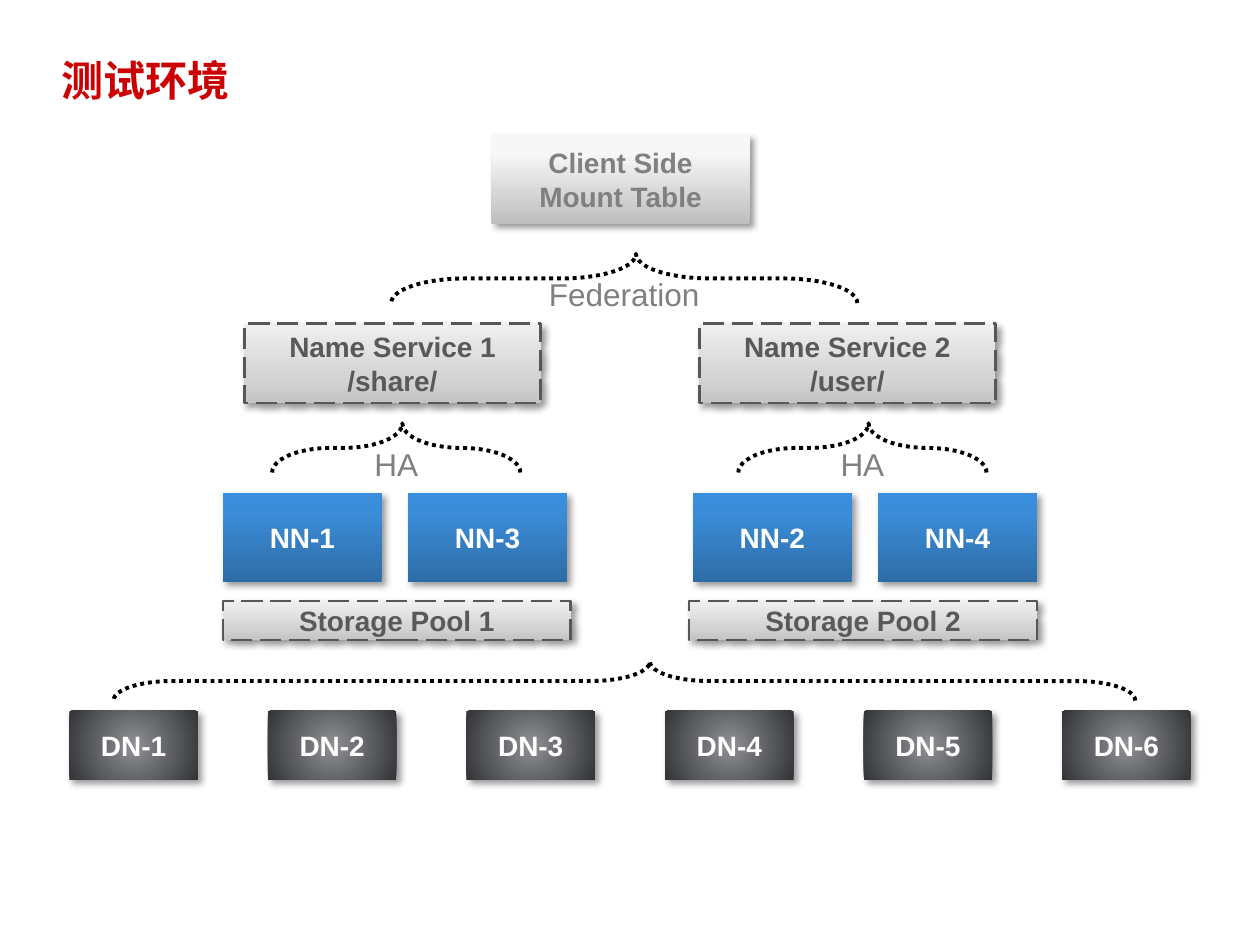
from lxml import etree
from pptx import Presentation, util as u
from pptx.dml.color import RGBColor
from pptx.enum import dml, shapes, text
from pptx.oxml.ns import qn

COLORS = {
    "title": "CC0000", "white": "FFFFFF", "black": "000000",
    "gray": "808080", "dark": "58595B", "border": "565759",
}
# Gradient stops as (percent, colour); linear ones run from bottom to top.
GRADIENTS = {
    "data": [(0, "8F9093"), (100, "333437")],
    "name": [(0, "2E6DA7"), (80, "3B8DD9"), (100, "398EDD")],
    "group": [(0, "C3C4C5"), (35, "D5D5D6"), (100, "EFEFEF")],
    "client": [(0, "BEBEBE"), (80, "F7F7F7"), (100, "F8F8F8")],
}
COLUMNS, ROWS = 100, 75


def add_xml(parent, tag, **attributes):
    values = {name: str(value) for name, value in attributes.items()}
    return etree.SubElement(parent, qn(tag), values)


class Diagram:
    """Holds the style and the current slide; lengths are grid columns and rows."""

    def __init__(self, presentation):
        self.column = presentation.slide_width / COLUMNS
        self.row = presentation.slide_height / ROWS
        self.slide = presentation.slides.add_slide(presentation.slide_layouts[5])

    def box(self, left, top, width, height):
        return [round(n) for n in (left * self.column, top * self.row,
                                   width * self.column, height * self.row)]

    def label(self, shape, lines, color, size, bold=True, font="Arial",
              align=text.PP_ALIGN.CENTER, spacing=None):
        frame = shape.text_frame
        frame.vertical_anchor = text.MSO_ANCHOR.MIDDLE
        frame.text = lines
        for paragraph in frame.paragraphs:
            paragraph.alignment = align
            paragraph.line_spacing = spacing
            run = paragraph.runs[0]
            style = {"name": font, "size": u.Pt(size), "bold": bold}
            for name, value in style.items():
                setattr(run.font, name, value)
            run.font.color.rgb = RGBColor.from_string(COLORS[color])
            add_xml(run.font._element, "a:ea", typeface=font)

    def outline(self, shape, color, width, dash):
        shape.line.color.rgb = RGBColor.from_string(COLORS[color])
        shape.line.width = u.Pt(width)
        shape.line.dash_style = dash

    def gradient(self, shape, name, radial):
        fill = etree.Element(qn("a:gradFill"), rotWithShape="1")
        stops = add_xml(fill, "a:gsLst")
        for percent, color in GRADIENTS[name]:
            stop = add_xml(stops, "a:gs", pos=percent * 1000)
            add_xml(stop, "a:srgbClr", val=color)
        if radial:
            center = add_xml(fill, "a:path", path="circle")
            add_xml(center, "a:fillToRect", l=50000, t=50000, r=50000, b=50000)
        else:
            add_xml(fill, "a:lin", ang=270 * 60000, scaled=0)
        shape._element.spPr.find(qn("a:prstGeom")).addnext(fill)

    def shadow(self, shape):
        shape.shadow.inherit = False
        effects = shape._element.spPr.find(qn("a:effectLst"))
        outer = add_xml(effects, "a:outerShdw", blurRad=u.Pt(4), dist=u.Pt(3),
                        dir=45 * 60000, algn="tl", rotWithShape=0)
        color = add_xml(outer, "a:srgbClr", val=COLORS["black"])
        add_xml(color, "a:alpha", val=40000)

    def title(self, words, *place):
        title = self.slide.shapes.title
        title.left, title.top, title.width, title.height = self.box(*place)
        self.label(title, words, "title", 24, font="Noto Sans CJK SC",
                   align=text.PP_ALIGN.LEFT, spacing=0.9)

    def node(self, words, place, gradient, color="white", dashed=False, radial=False):
        node = self.slide.shapes.add_shape(shapes.MSO_SHAPE.RECTANGLE, *self.box(*place))
        self.gradient(node, gradient, radial)
        if dashed:
            self.outline(node, "border", 1.5, dml.MSO_LINE.LONG_DASH)
        else:
            node.line.fill.background()
        self.shadow(node)
        self.label(node, words, color, 16)

    def brace(self, center, top, width, height, words=None):
        """Brace pointing up: a left brace, mirrored and turned a quarter."""
        place = center - height / 2, top + (height - width) / 2, height, width
        brace = self.slide.shapes.add_shape(shapes.MSO_SHAPE.LEFT_BRACE, *self.box(*place))
        brace.rotation = 270
        brace._element.spPr.xfrm.set("flipH", "1")
        brace.adjustments[0], brace.adjustments[1] = 1.51, 0.525
        brace.fill.background()
        brace.shadow.inherit = False
        self.outline(brace, "black", 2.25, dml.MSO_LINE.ROUND_DOT)
        if words:
            self.label(brace, words, "gray", 18, bold=False)
            brace.text_frame._txBody.bodyPr.set("vert", "vert")
            brace.text_frame.word_wrap = False


def main():
    presentation = Presentation()
    presentation.slide_width, presentation.slide_height = u.Inches(10), u.Inches(7.5)
    diagram = Diagram(presentation)
    diagram.title("测试环境", 3.9, 2.7, 76.1, 7.8)

    for index in range(6):
        diagram.node(f"DN-{index + 1}", (5.5 + 15.76 * index, 56.4, 10.2, 5.5),
                     "data", radial=True)

    sides = [
        # number, folder, service left, name nodes left, pool left, brace center
        (1, "/share/", 19.4, 17.7, 17.7, 31.45),
        (2, "/user/", 55.5, 55, 54.7, 68.45),
    ]
    for number, folder, service, names, pool, center in sides:
        for index in range(2):
            diagram.node(f"NN-{number + 2 * index}",
                         (names + 14.7 * index, 39.1, 12.6, 7.1), "name")
        diagram.node(f"Storage Pool {number}", (pool, 47.7, 27.6, 3.1),
                     "group", "dark", dashed=True)
        diagram.node(f"Name Service {number}\n{folder}", (service, 25.7, 23.5, 6.3),
                     "group", "dark", dashed=True)
        diagram.brace(center, 33.6, 19.7, 3.9, "HA")

    diagram.node("Client Side Mount Table", (39, 10.7, 20.5, 7.1), "client", "gray")
    diagram.brace(49.55, 52.5, 81.1, 3.1)
    diagram.brace(49.55, 20.15, 37, 3.9, "Federation")
    presentation.save("out.pptx")


if __name__ == "__main__":
    main()
